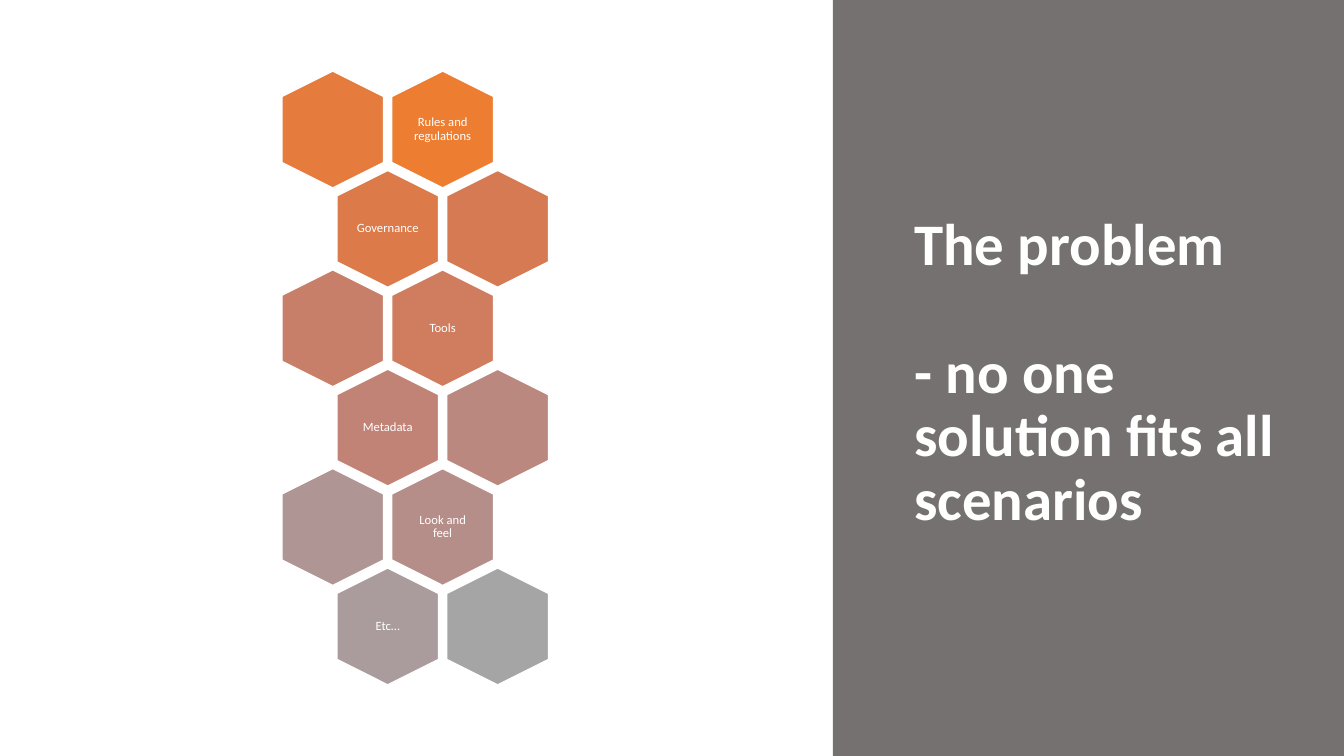
from pptx import Presentation
from pptx.dml.color import RGBColor
from pptx.enum.shapes import MSO_SHAPE
from pptx.enum.text import MSO_ANCHOR, PP_ALIGN
from pptx.util import Inches, Pt

RECT, HEX = MSO_SHAPE.RECTANGLE, MSO_SHAPE.HEXAGON
MIDDLE = MSO_ANCHOR.MIDDLE
LEFT, CENTER = PP_ALIGN.LEFT, PP_ALIGN.CENTER

TITLE = ["The problem", "- no one solution fits all scenarios"]
TOPICS = [
    ("Rules and regulations", "ED7D31", "E57B3D"),
    ("Governance", "DD7A49", "D67A54"),
    ("Tools", "CF7C5F", "C87F6A"),
    ("Metadata", "C18375", "BB887F"),
    ("Look and feel", "B58E89", "AF9593"),
    ("Etc…", "AA9C9C", "A5A5A5"),
]
COLORS = {"white": "FFFFFF", "panel": "767171"}
HEAD = {"size": Pt(42), "bold": True, "name": "Calibri"}
LABEL = {"size": Pt(9), "name": "Calibri"}

SLIDE_W, SLIDE_H = 13.33, 7.5
PANEL_X = 8.26
HEX_W, HEX_H = 1.16, 1.01
GRID_X, GRID_Y, GRID_END = 2.72, 0.78, 5.71
COL_STEP = 1.09
ROW_STEP = (GRID_END - GRID_Y) / (len(TOPICS) - 1)
LABEL_W, LABEL_H, LABEL_PAD = 0.69, 0.8, 0.02
TITLE_GAP = Pt(46)


def set_all(target, values):
    for key, value in values.items():
        setattr(target, key, value)


def add_block(shapes, kind, box, fill):
    block = shapes.add_shape(kind, *map(Inches, box))
    block.shadow.inherit = False
    block.fill.solid()
    block.fill.fore_color.rgb = RGBColor.from_string(fill)
    block.line.fill.background()
    return block


def add_text(shapes, box, lines, style, align, pad=None, gap=0):
    frame = shapes.add_textbox(*map(Inches, box)).text_frame
    set_all(frame, {"word_wrap": True, "vertical_anchor": MIDDLE})
    if pad is not None:
        sides = ("left", "top", "right", "bottom")
        set_all(frame, {f"margin_{side}": Inches(pad) for side in sides})
    for i, line in enumerate(lines):
        para = frame.add_paragraph() if i else frame.paragraphs[0]
        set_all(para, {"alignment": align, "line_spacing": 0.9})
        if i:
            para.space_before = gap
        run = para.add_run()
        run.text = line
        set_all(run.font, style)
        run.font.color.rgb = RGBColor.from_string(COLORS["white"])


def add_hex(shapes, left, top, fill):
    cell = add_block(shapes, HEX, (left, top, HEX_W, HEX_H), fill)
    cell.rotation = 90
    cell.adjustments[0] = 0.25
    cell.line.color.rgb = RGBColor.from_string(COLORS["white"])
    cell.line.width = Pt(1)


def add_comb(shapes):
    for row, (topic, main, side) in enumerate(TOPICS):
        odd = row % 2
        start = GRID_X + odd * COL_STEP / 2
        top = GRID_Y + row * ROW_STEP
        left = start + (1 - odd) * COL_STEP
        add_hex(shapes, left, top, main)
        box = (left + (HEX_W - LABEL_W) / 2, top + (HEX_H - LABEL_H) / 2,
               LABEL_W, LABEL_H)
        add_text(shapes, box, [topic], LABEL, CENTER, LABEL_PAD)
        add_hex(shapes, start + odd * COL_STEP, top, side)


def main():
    deck = Presentation()
    deck.slide_width, deck.slide_height = Inches(SLIDE_W), Inches(SLIDE_H)
    slide = deck.slides.add_slide(deck.slide_layouts[6])
    shapes = slide.shapes
    panel = (PANEL_X, 0, SLIDE_W - PANEL_X, SLIDE_H)
    add_block(shapes, RECT, panel, COLORS["panel"])
    add_text(shapes, (8.97, 0.7, 4.01, 6.02), TITLE, HEAD, LEFT, gap=TITLE_GAP)
    add_comb(shapes.add_group_shape().shapes)
    deck.save("out.pptx")


if __name__ == "__main__":
    main()
